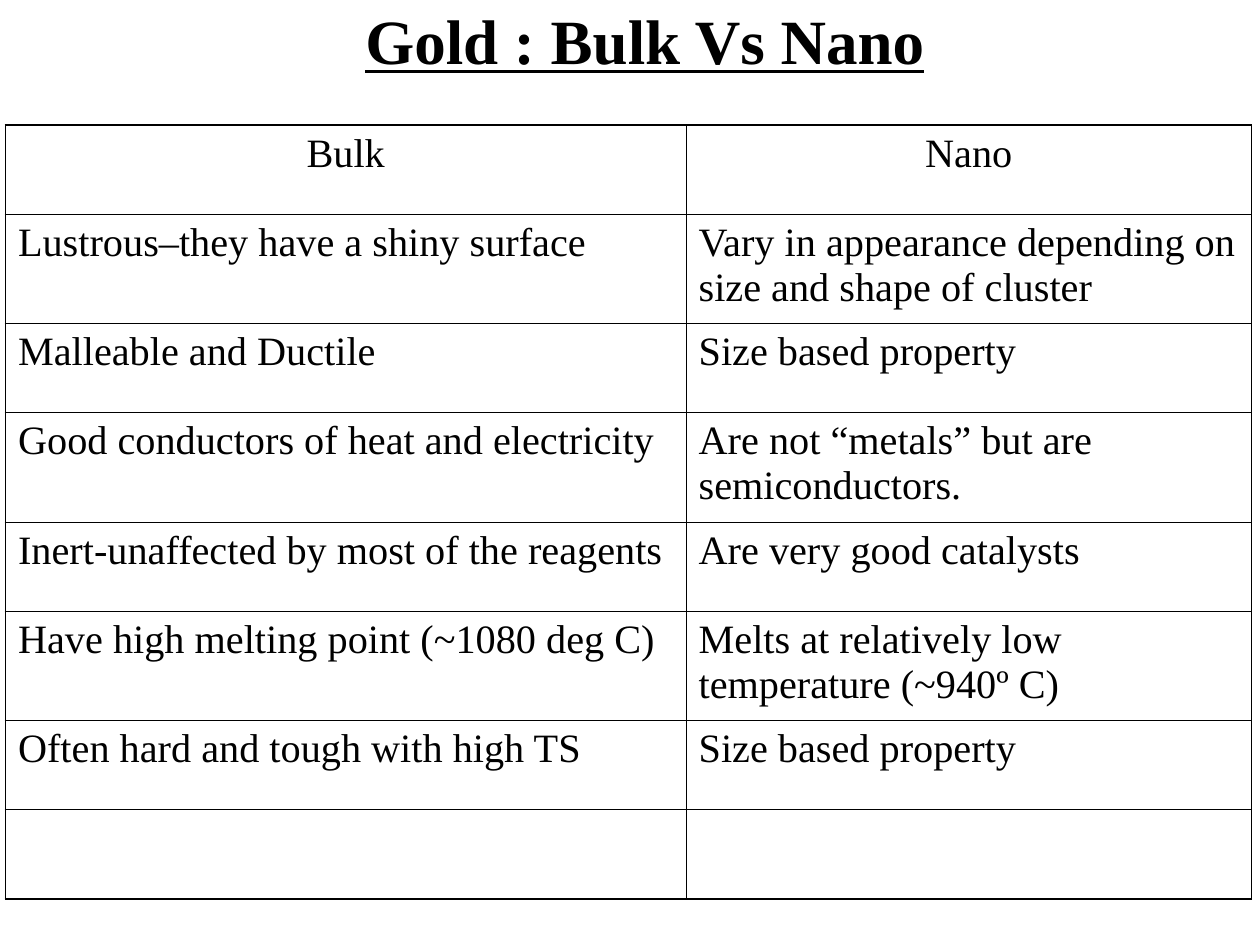
import pptx
import pptx.util
import pptx.dml.color
import pptx.enum.text
import pptx.oxml
import pptx.oxml.ns
from pptx.util import Cm

INK = {"black": "000000"}
FACE = "Times New Roman"
THIN, THICK = 0.45, 1.08
ROWS = [
    ("Bulk", "Nano"),
    ("Lustrous–they have a shiny surface",
     "Vary in appearance depending on size and shape of cluster"),
    ("Malleable and Ductile", "Size based property"),
    ("Good conductors of heat and electricity",
     "Are not “metals” but are semiconductors."),
    ("Inert-unaffected by most of the reagents", "Are very good catalysts"),
    ("Have high melting point (~1080 deg C)",
     "Melts at relatively low temperature (~940º C)"),
    ("Often hard and tough with high TS", "Size based property"),
    ("", ""),
]
WIDTHS = [13.72, 11.4]
LOW, TALL = 1.8, 2.2
TWO_LINE = (1, 3, 5)


def style(para, size, bold=False, line=False):
    for run in para.runs:
        font = run.font
        font.name = FACE
        font.size = pptx.util.Pt(size)
        font.bold = bold
        font.underline = line
        font.color.rgb = pptx.dml.color.RGBColor.from_string(INK["black"])


def edge(cell, sides):
    """Draw the cell borders; sides maps L, R, T, B, in that order, to points."""
    props = cell._tc.get_or_add_tcPr()
    for spot, (side, width) in enumerate(sides.items()):
        props.insert(spot, pptx.oxml.parse_xml(
            f'<a:ln{side} {pptx.oxml.ns.nsdecls("a")} w="{pptx.util.Pt(width)}">'
            f'<a:solidFill><a:srgbClr val="{INK["black"]}"/></a:solidFill>'
            f'</a:ln{side}>'))


prs = pptx.Presentation()
prs.slide_width, prs.slide_height = Cm(25.4), Cm(19.05)
slide = prs.slides.add_slide(prs.slide_layouts[5])

title = slide.shapes.title
title.left, title.top, title.width, title.height = Cm(7.11), Cm(-0.1), Cm(11.79), Cm(1.78)
frame = title.text_frame
frame.text = "Gold : Bulk Vs Nano"
frame.word_wrap = False
frame.auto_size = pptx.enum.text.MSO_AUTO_SIZE.SHAPE_TO_FIT_TEXT
frame.vertical_anchor = pptx.enum.text.MSO_ANCHOR.MIDDLE
frame.paragraphs[0].alignment = pptx.enum.text.PP_ALIGN.JUSTIFY
style(frame.paragraphs[0], 36, bold=True, line=True)

heights = [TALL if r in TWO_LINE else LOW for r in range(len(ROWS))]
table = slide.shapes.add_table(len(ROWS), len(WIDTHS), Cm(0.11), Cm(2.52),
                               Cm(sum(WIDTHS)), Cm(sum(heights))).table
table.first_row = table.horz_banding = False
for col, width in zip(table.columns, WIDTHS):
    col.width = Cm(width)
for row, height in zip(table.rows, heights):
    row.height = Cm(height)

for r, texts in enumerate(ROWS):
    for c, text in enumerate(texts):
        cell = table.cell(r, c)
        cell.fill.background()
        edge(cell, {
            "L": THICK if c == 0 else THIN,
            "R": THICK if c == len(WIDTHS) - 1 else THIN,
            "T": THICK if r == 0 else THIN,
            "B": THICK if r == len(ROWS) - 1 else THIN,
        })
        para = cell.text_frame.paragraphs[0]
        para.text = text
        if r == 0:
            para.alignment = pptx.enum.text.PP_ALIGN.CENTER
        style(para, 23)

prs.save("out.pptx")
